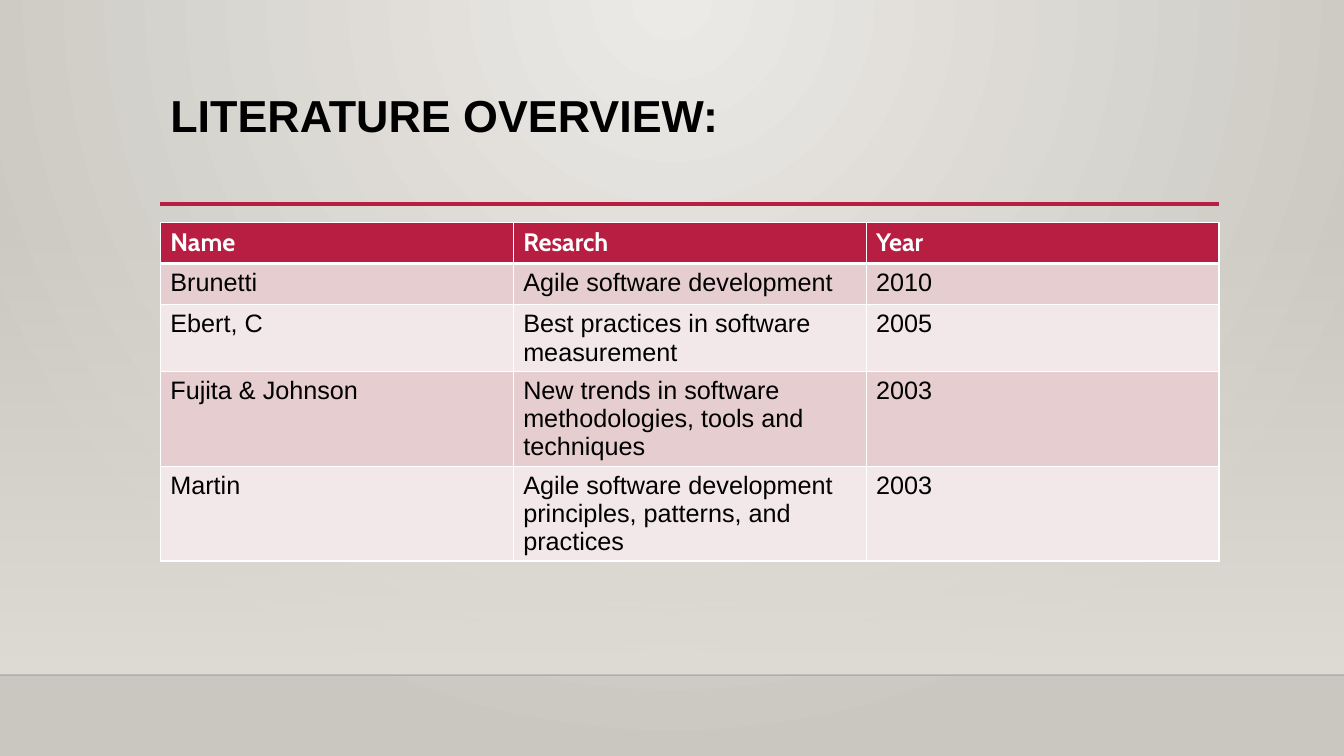
"""Build the literature overview slide with its table."""
import pptx
import pptx.util
import pptx.dml.color
import pptx.enum.shapes
import pptx.enum.text
import pptx.oxml
import pptx.oxml.ns

Pt = pptx.util.Pt
qn = pptx.oxml.ns.qn
space = pptx.oxml.ns.nsdecls("a")


def paint(color):
    return pptx.dml.color.RGBColor.from_string(color)


def blend(stops, path):
    marks = "".join(
        f'<a:gs pos="{spot * 1000}"><a:srgbClr val="{color}">'
        f'<a:alpha val="{alpha * 1000}"/></a:srgbClr></a:gs>'
        for spot, color, alpha in stops)
    return pptx.oxml.parse_xml(
        f'<a:gradFill {space} rotWithShape="1"><a:gsLst>{marks}</a:gsLst>{path}</a:gradFill>')


deck = pptx.Presentation()
deck.slide_width = wide = pptx.util.Inches(13.33)
deck.slide_height = high = pptx.util.Inches(7.5)
slide = deck.slides.add_slide(deck.slide_layouts[5])
shapes = slide.shapes

left = pptx.util.Inches(1.59)
col = pptx.util.Inches(3.5)
row = pptx.util.Inches(0.41)
floor = int(high * 0.893)
rule = int(high * 0.27)

slide.background.fill.solid()
back = slide.element.find(".//" + qn("p:bgPr"))
back.replace(back[0], blend(
    [(0, "ECEAE7", 100), (100, "CAC7C1", 100)],
    '<a:path path="circle"><a:fillToRect l="43000" r="43000" b="100000"/></a:path>'))

top = int(high * 0.295)
wall = shapes.add_shape(pptx.enum.shapes.MSO_SHAPE.RECTANGLE, 0, top, wide, floor - top)
wall.shadow.inherit = False
wall.line.fill.background()
wall.fill.background()
props = wall.element.spPr
props.replace(props.find(qn("a:noFill")), blend(
    [(0, "DFDBD5", 0), (100, "DFDBD5", 100)], '<a:lin ang="5400000" scaled="0"/>'))

for start, end, y, color, width, alpha in [
        (0, wide, floor, "000001", 1, 20),
        (left, left + 3 * col, rule, "B71E42", 2.5, 100)]:
    line = shapes.add_connector(pptx.enum.shapes.MSO_CONNECTOR.STRAIGHT, start, y, end, y)
    line.line.color.rgb = paint(color)
    line.line.width = Pt(width)
    props = line.element.spPr
    props.append(pptx.oxml.parse_xml(f"<a:effectLst {space}/>"))
    props.find(".//" + qn("a:srgbClr")).append(
        pptx.oxml.parse_xml(f'<a:alpha {space} val="{alpha * 1000}"/>'))

title = shapes.title
title.left, title.top = left, int(high * 0.117)
title.width, title.height = 3 * col, rule - title.top
frame = title.text_frame
frame.text = "LITERATURE OVERVIEW:"
frame.word_wrap = True
frame.auto_size = pptx.enum.text.MSO_AUTO_SIZE.NONE
frame.vertical_anchor = pptx.enum.text.MSO_ANCHOR.TOP
para = frame.paragraphs[0]
para.alignment = pptx.enum.text.PP_ALIGN.LEFT
para.line_spacing = 0.9
para.font.name = "Arial"
para.font.size = Pt(32)
para.font.bold = True
para.font.color.rgb = paint("000000")

rows = [
    ("Name", "Resarch", "Year"),
    ("Brunetti", "Agile software development", "2010"),
    ("Ebert, C", "Best practices in software measurement", "2005"),
    ("Fujita & Johnson", "New trends in software methodologies, tools and techniques", "2003"),
    ("Martin", "Agile software development principles, patterns, and practices", "2003"),
]
table = shapes.add_table(
    len(rows), 3, left, int(high * 0.294), 3 * col, len(rows) * row).table
for part in table.columns:
    part.width = col
for part in table.rows:
    part.height = row

for i, words in enumerate(rows):
    head = i == 0
    fill = "B71E42" if head else ("F3E8E9", "E6CDCF")[i % 2]
    for j, text in enumerate(words):
        cell = table.cell(i, j)
        cell.text = text
        cell.fill.solid()
        cell.fill.fore_color.rgb = paint(fill)
        font = cell.text_frame.paragraphs[0].font
        font.name = "Cabin" if head else "Arial"
        font.size = Pt(18)
        font.bold = head
        font.color.rgb = paint("FFFFFF" if head else "000000")
        edges = {"L": 1, "R": 1, "T": 3 if i == 1 else 1, "B": 3 if head else 1}
        for k, (side, width) in enumerate(edges.items()):
            cell.fill._xPr.insert(k, pptx.oxml.parse_xml(
                f'<a:ln{side} {space} w="{Pt(width)}"><a:solidFill>'
                f'<a:srgbClr val="FFFFFF"/></a:solidFill></a:ln{side}>'))

deck.save("out.pptx")
